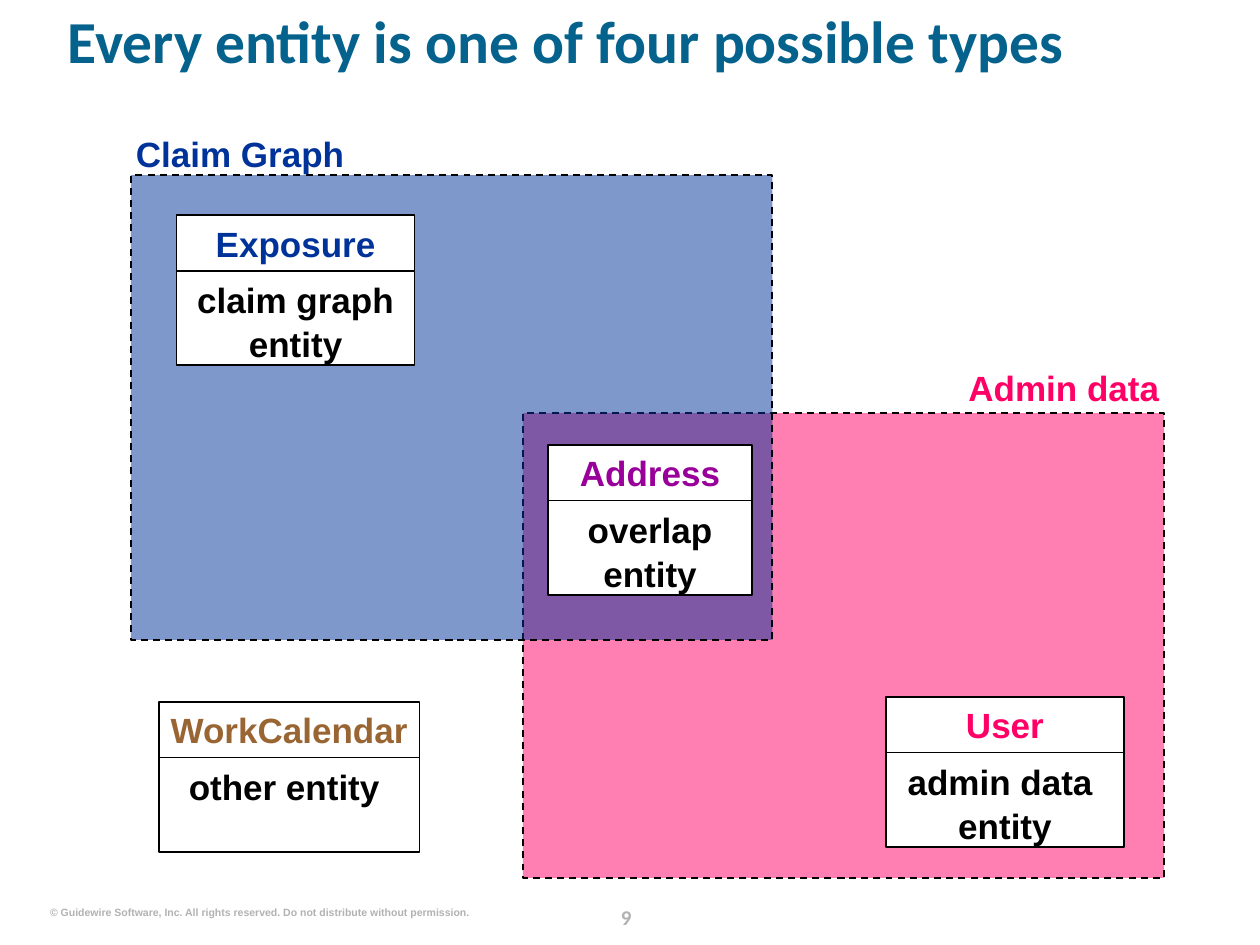
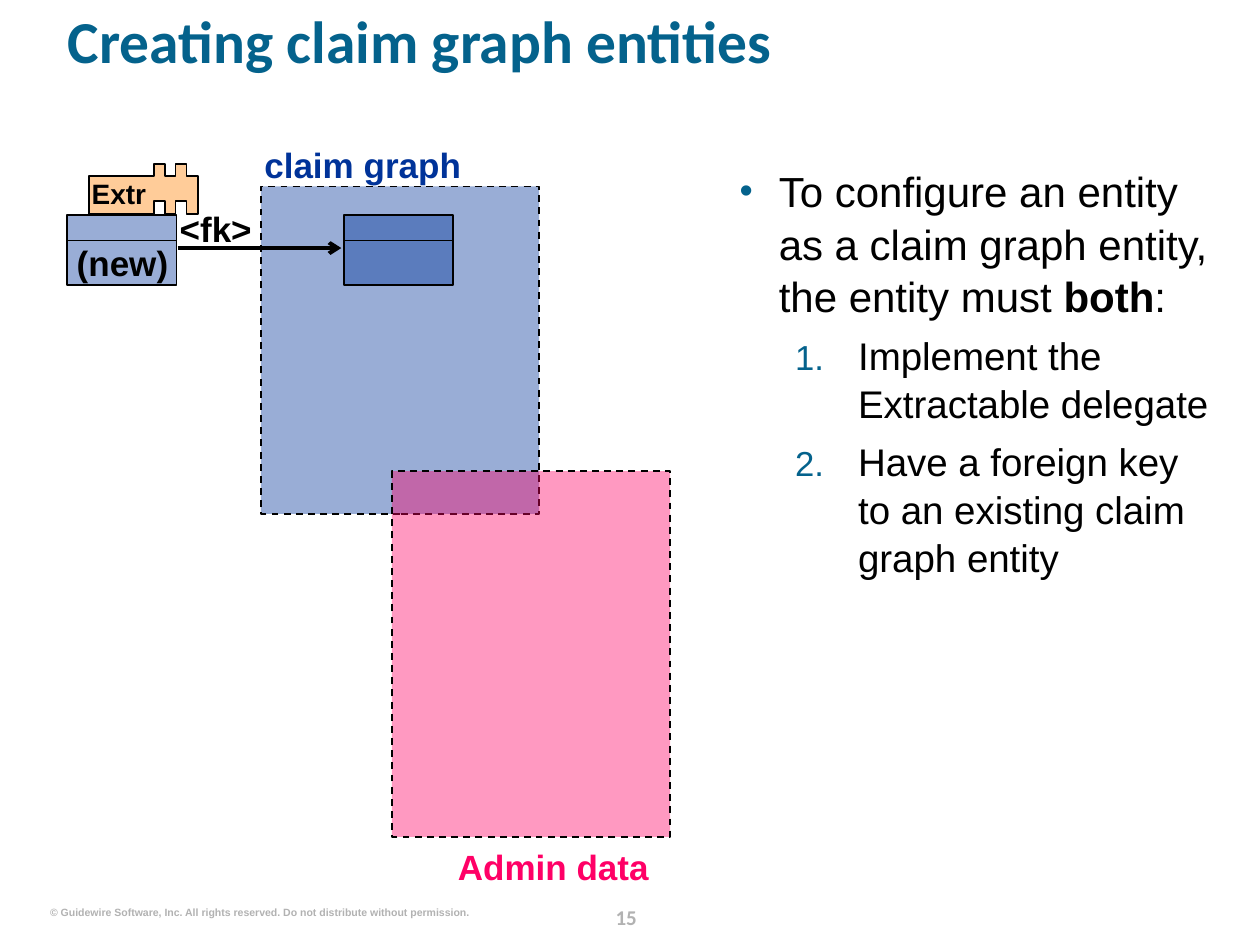
"""Build two slides on entity types and claim graph entities."""
from lxml import etree
from pptx import Presentation
from pptx.dml.color import RGBColor
from pptx.enum.dml import MSO_LINE
from pptx.enum.shapes import MSO_CONNECTOR, MSO_SHAPE
from pptx.enum.text import PP_ALIGN
from pptx.oxml.ns import qn
from pptx.util import Cm, Pt

RECT = MSO_SHAPE.RECTANGLE
LINE = MSO_CONNECTOR.STRAIGHT
DASH = MSO_LINE.DASH
LEFT, MID, RIGHT = PP_ALIGN.LEFT, PP_ALIGN.CENTER, PP_ALIGN.RIGHT

TEAL = RGBColor(0x04, 0x62, 0x8C)
BLUE = RGBColor(0x00, 0x33, 0x99)
PINK = RGBColor(0xFF, 0x00, 0x66)
PLUM = RGBColor(0x99, 0x00, 0x99)
BROWN = RGBColor(0x99, 0x66, 0x33)
PEACH = RGBColor(0xFF, 0xCC, 0x99)
GREY = RGBColor(0xB2, 0xB2, 0xB2)
BLACK = RGBColor(0x00, 0x00, 0x00)
WHITE = RGBColor(0xFF, 0xFF, 0xFF)


def write(slide, x, y, w, h, words, color=BLACK, align=LEFT, size=20,
          font="Arial", pitch=None):
    box = slide.shapes.add_textbox(Cm(x), Cm(y), Cm(w), Cm(h))
    frame = box.text_frame
    frame.margin_left = frame.margin_right = 0
    frame.margin_top = frame.margin_bottom = 0
    frame.word_wrap = True
    para = frame.paragraphs[0]
    para.alignment = align
    para.line_spacing = pitch
    for i, row in enumerate(words.split("\n")):
        if i:
            para.add_line_break()
        run = para.add_run()
        run.text = row
        run.font.size = Pt(size)
        run.font.name = font
        run.font.bold = True
        run.font.color.rgb = color
    return frame


def paint(shape, fill=None, alpha=100, dash=None, width=1):
    props = shape.element.spPr
    if fill is not None:
        shape.fill.solid()
        shape.fill.fore_color.rgb = fill
        if alpha < 100:
            tint = props.find(".//" + qn("a:srgbClr"))
            etree.SubElement(tint, qn("a:alpha"), val=str(alpha * 1000))
    shape.line.color.rgb = BLACK
    shape.line.width = Pt(width)
    if dash:
        shape.line.dash_style = dash
    etree.SubElement(props, qn("a:effectLst"))


deck = Presentation()
deck.slide_width, deck.slide_height = Cm(25.4), Cm(19.05)
pages = []
for title, number in (
    ("Every entity is one of four possible types", "9"),
    ("Creating claim graph entities", "15"),
):
    page = deck.slides.add_slide(deck.slide_layouts[6])
    write(page, 11.9, 18.11, 1.45, 0.64, number, GREY, MID, 12, "Calibri", Pt(18))
    write(page, 1.01, 18.26, 9, 0.25,
          "© Guidewire Software, Inc. All rights reserved. "
          "Do not distribute without permission.", GREY, size=6)
    write(page, 1.37, 0.35, 23.11, 2.06, title, TEAL, size=34,
          font="Calibri", pitch=0.8)
    pages.append(page)
types, create = pages

for page, x, y, w, h, color, alpha in (
    (types, 10.54, 8.33, 12.93, 9.37, PINK, 50),
    (types, 2.64, 3.53, 12.93, 9.37, BLUE, 50),
    (create, 5.26, 3.76, 5.61, 6.6, BLUE, 40),
    (create, 7.9, 9.5, 5.61, 7.37, PINK, 40),
):
    area = page.shapes.add_shape(RECT, Cm(x), Cm(y), Cm(w), Cm(h))
    paint(area, color, alpha, DASH)

for page, x, y, words, color, align in (
    (types, 2.74, 2.67, "Claim Graph", BLUE, LEFT),
    (types, 18.24, 7.39, "Admin data", PINK, RIGHT),
    (create, 5.33, 2.9, "claim graph", BLUE, LEFT),
    (create, 7.95, 17.04, "Admin data", PINK, RIGHT),
):
    write(page, x, y, 5.13, 0.84, words, color, align)

for x, y, w, name, color, kind, shift in (
    (3.56, 4.34, 4.8, "Exposure", BLUE, "claim graph\nentity", 0),
    (17.86, 14.05, 4.8, "User", PINK, "admin data \nentity", 0),
    (11.05, 8.97, 4.11, "Address", PLUM, "overlap\nentity", 0),
    (3.2, 14.15, 5.26, "WorkCalendar", BROWN, "other entity", -0.1),
):
    card = types.shapes.add_shape(RECT, Cm(x), Cm(y), Cm(w), Cm(3.02))
    paint(card, WHITE)
    rule = types.shapes.add_connector(
        LINE, Cm(x + w), Cm(y + 1.12), Cm(x), Cm(y + 1.12))
    paint(rule)
    write(types, x, y + 0.14, w, 0.84, name, color, MID)
    write(types, x + shift, y + 1.25, w, 1.7, kind, BLACK, MID, pitch=1.04)

for x in (6.93, 1.35):
    card = create.shapes.add_shape(RECT, Cm(x), Cm(4.34), Cm(2.21), Cm(1.4))
    paint(card, BLUE, 40)
    rule = create.shapes.add_connector(
        LINE, Cm(x + 2.21), Cm(4.85), Cm(x), Cm(4.85))
    paint(rule)

arrow = create.shapes.add_connector(LINE, Cm(3.58), Cm(5), Cm(6.88), Cm(5))
paint(arrow, width=2.25)
etree.SubElement(arrow.line._get_or_add_ln(), qn("a:tailEnd"), type="arrow")
write(create, 3.3, 4.19, 2.1, 0.84, "<fk>", align=MID)
write(create, 1.42, 4.87, 2.1, 0.84, "(new)", align=MID)

top, base = [], []
for i in range(4):
    x = 3.1 + 0.22 * i
    step = 1 if i % 2 == 0 else -1
    top += [(x, y) for y in (3.55, 3.3)[::step]]
    base += [(x, y) for y in (4.32, 4.06)[::step]]
edge = [(1.8, 3.55)] + top + [(3.99, 3.55), (3.99, 4.32)] + base[::-1]
pen = create.shapes.build_freeform(Cm(1.8), Cm(4.32), 1.0)
pen.add_line_segments([(Cm(x), Cm(y)) for x, y in edge], close=True)
paint(pen.convert_to_shape(), PEACH)
write(create, 1.85, 3.56, 2, 0.69, "Extr", size=16)

frame = write(create, 14.91, 3.3, 9.65, 14.43, "")
for i, (runs, size, left, hang, gap) in enumerate((
    ((("To configure an entity as a claim graph entity, the entity must ", False),
      ("both", True), (":", False)), 24, 0.79, 0.79, 0),
    ((("Implement the Extractable delegate", False),), 22, 2.39, 1.27, 5.5),
    ((("Have a foreign key to an existing claim graph entity", False),),
     22, 2.39, 1.27, 5.5),
)):
    para = frame.add_paragraph() if i else frame.paragraphs[0]
    para.level = 1 if i else 0
    para.line_spacing = 1.04
    para.space_before = Pt(gap)
    props = para._p.get_or_add_pPr()
    props.set("marL", str(Cm(left)))
    props.set("indent", str(-Cm(hang)))
    tint = etree.SubElement(props, qn("a:buClr"))
    etree.SubElement(tint, qn("a:srgbClr"), val=str(TEAL))
    etree.SubElement(props, qn("a:buSzPct"), val="90000")
    etree.SubElement(props, qn("a:buFont"), typeface="Arial")
    if i:
        etree.SubElement(props, qn("a:buAutoNum"), type="arabicPeriod")
    else:
        etree.SubElement(props, qn("a:buChar"), char="•")
    for words, bold in runs:
        run = para.add_run()
        run.text = words
        run.font.size = Pt(size)
        run.font.name = "Arial"
        run.font.bold = bold
        run.font.color.rgb = BLACK

deck.save("out.pptx")
